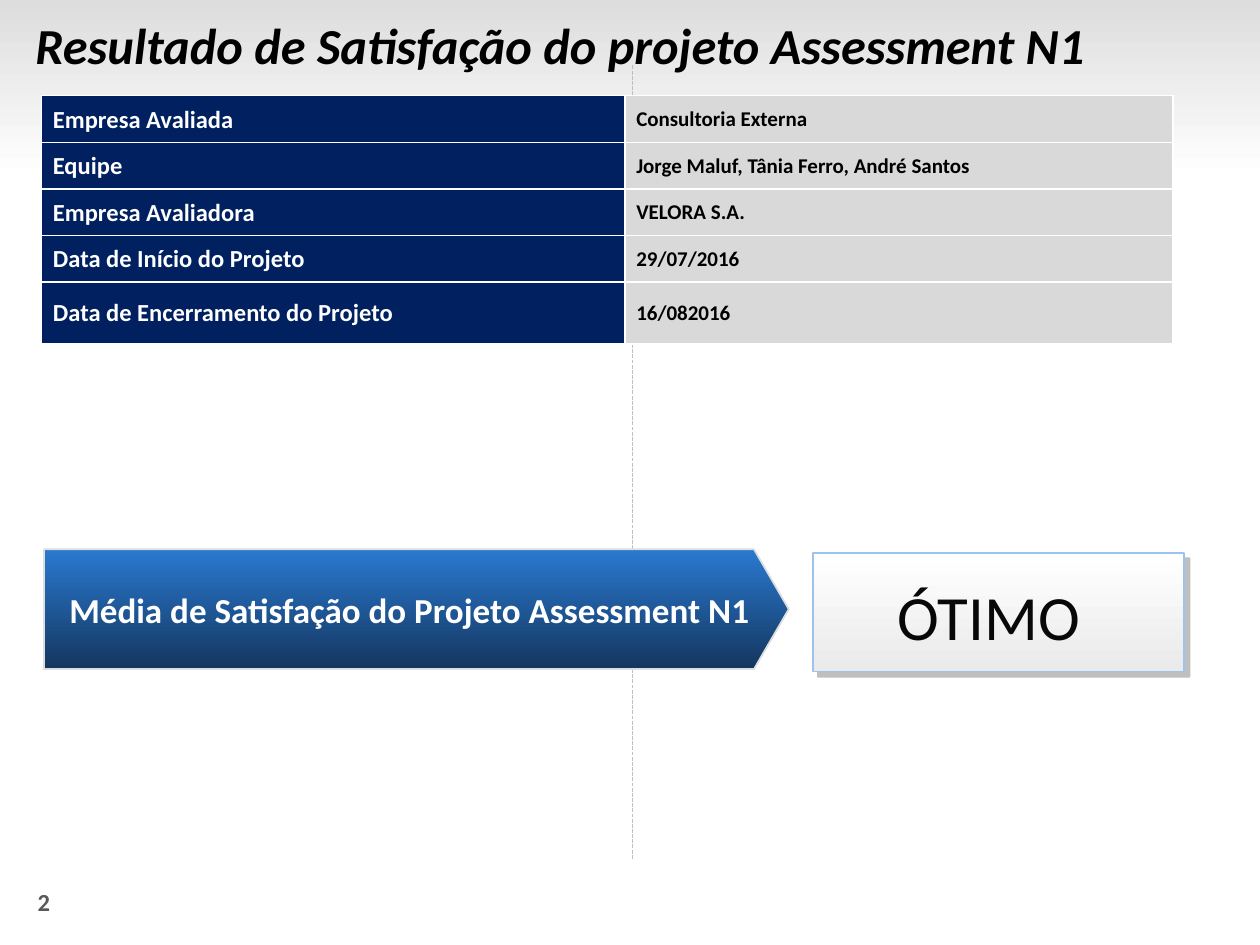
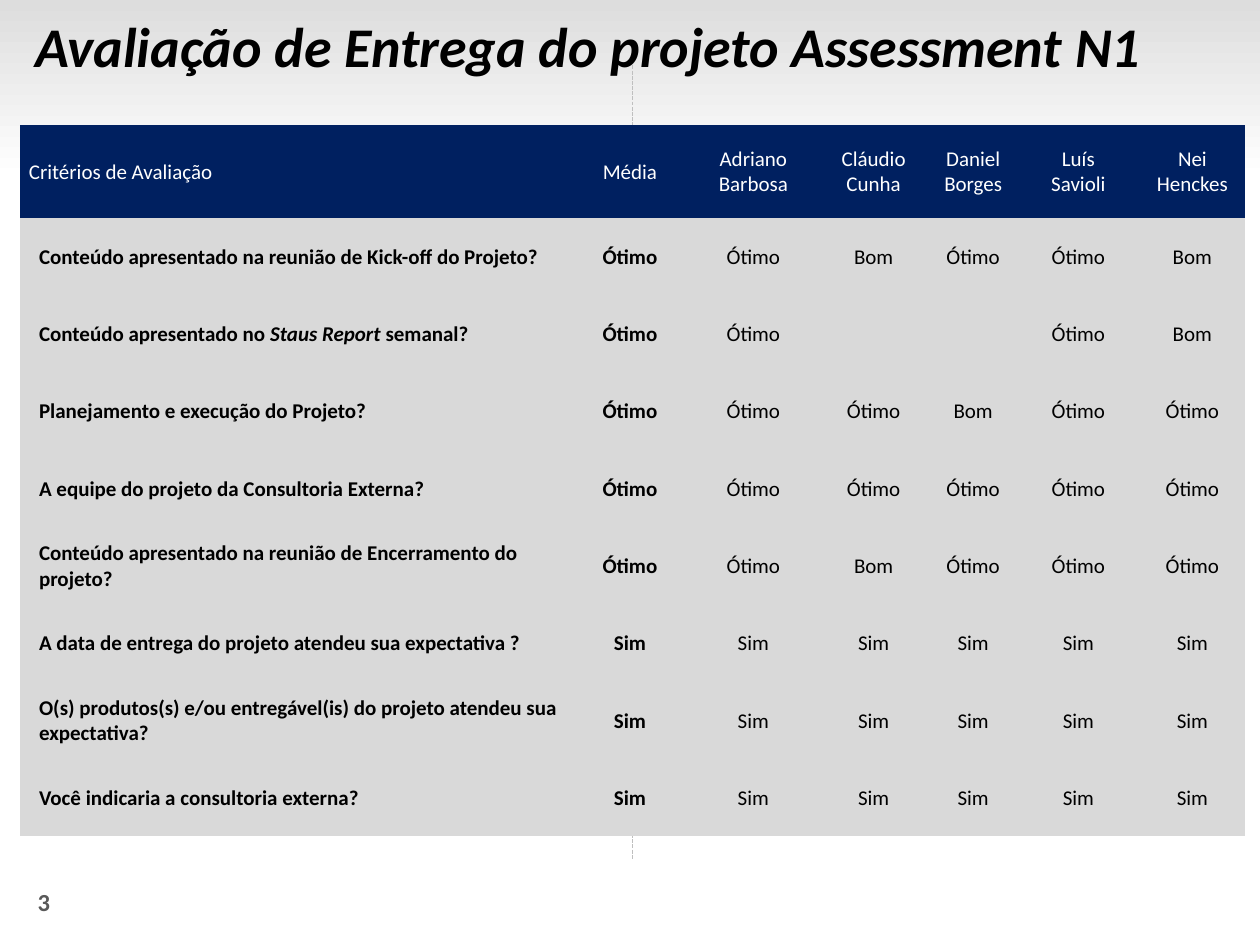
from dataclasses import dataclass

from lxml import etree
from pptx import Presentation
from pptx.dml.color import RGBColor
from pptx.enum.dml import MSO_LINE
from pptx.enum.shapes import MSO_CONNECTOR, MSO_SHAPE
from pptx.enum.text import MSO_ANCHOR, MSO_AUTO_SIZE, PP_ALIGN
from pptx.oxml import parse_xml
from pptx.oxml.ns import nsdecls, qn
from pptx.util import Inches, Pt

LEFT, CENTER = PP_ALIGN.LEFT, PP_ALIGN.CENTER
MIDDLE = MSO_ANCHOR.MIDDLE
RECTANGLE, PENTAGON = MSO_SHAPE.RECTANGLE, MSO_SHAPE.PENTAGON
STRAIGHT, DASHED = MSO_CONNECTOR.STRAIGHT, MSO_LINE.SQUARE_DOT
TITLE_ONLY = 5
NO_TABLE_STYLE = "{2D5ABB26-0587-4C30-8999-92F81FD0307C}"

RESULT_TITLE = "Resultado de Satisfação do projeto Assessment N1"
PROJECT_FACTS = [
    ("Empresa Avaliada", "Consultoria Externa"),
    ("Equipe", "Jorge Maluf, Tânia Ferro, André Santos"),
    ("Empresa Avaliadora", "VELORA S.A."),
    ("Data de Início do Projeto", "29/07/2016"),
    ("Data de Encerramento do Projeto", "16/082016"),
]
AVERAGE_LABEL = "Média de Satisfação do Projeto Assessment N1"
AVERAGE_GRADE = "ÓTIMO "

DELIVERY_TITLE = "Avaliação de Entrega do projeto Assessment N1"
CRITERIA_HEADER = [
    "Critérios de Avaliação", "Média", "Adriano\nBarbosa", "Cláudio\nCunha",
    "Daniel\nBorges", "Luís\nSavioli", "Nei\nHenckes",
]
GOOD, GREAT, YES = "Bom", "Ótimo", "Sim"
# Criterion, average, then one answer per person
CRITERIA = [
    ("Conteúdo apresentado na reunião de Kick-off do Projeto?",
     GREAT, GREAT, GOOD, GREAT, GREAT, GOOD),
    (("Conteúdo apresentado no ", "Staus Report ", "semanal?"),
     GREAT, GREAT, "", "", GREAT, GOOD),
    ("Planejamento e execução do Projeto?",
     GREAT, GREAT, GREAT, GOOD, GREAT, GREAT),
    ("A equipe do projeto da Consultoria Externa?", *[GREAT] * 6),
    ("Conteúdo apresentado na reunião de Encerramento do projeto?",
     GREAT, GREAT, GOOD, GREAT, GREAT, GREAT),
    ("A data de entrega do projeto atendeu sua expectativa ?", *[YES] * 6),
    ("O(s) produtos(s) e/ou entregável(is) do projeto atendeu sua expectativa?",
     *[YES] * 6),
    ("Você indicaria a consultoria externa?", *[YES] * 6),
]


@dataclass(frozen=True)
class Theme:
    font: str = "Calibri"
    black: str = "000000"
    white: str = "FFFFFF"
    navy: str = "002060"
    cell_gray: str = "D9D9D9"
    band_gray: str = "DDDDDD"
    rule_gray: str = "BFBFBF"
    number_gray: str = "595959"
    blue: str = "2A79D0"
    deep_blue: str = "14365F"
    grade_gray: str = "EAEAEA"
    grade_edge: str = "9DC2EB"
    grade_ink: str = "080808"
    shadow: str = "808080"
    title_size: float = 32
    long_title_size: float = 28.8
    grade_size: float = 36
    label_size: float = 20
    fact_size: float = 14
    body_size: float = 12


THEME = Theme()


def rgb(color):
    return RGBColor.from_string(color)


def write(frame, text, size=THEME.body_size, color=THEME.black, bold=False,
          italic=False, align=LEFT, indent=0):
    """Fill a frame: a newline starts a paragraph; in a tuple, every second span is italic."""
    spans_by_line = [text] if isinstance(text, tuple) else [(line,) for line in text.split("\n")]
    for number, spans in enumerate(spans_by_line):
        para = frame.add_paragraph() if number else frame.paragraphs[0]
        para.alignment = align
        if indent:
            properties = para._p.get_or_add_pPr()
            properties.set("marL", str(Inches(indent)))
            properties.set("indent", "0")
        for index, words in enumerate(spans):
            span = para.add_run()
            span.text = words
            span.font.name = THEME.font
            span.font.size = Pt(size)
            span.font.bold = bold
            span.font.italic = italic or index % 2 == 1
            span.font.color.rgb = rgb(color)


def set_insets(target, left, top, right, bottom):
    """Set margins and middle anchor on a cell or a text frame."""
    target.margin_left, target.margin_top = Inches(left), Inches(top)
    target.margin_right, target.margin_bottom = Inches(right), Inches(bottom)
    target.vertical_anchor = MIDDLE


def add_gradient_shape(page, preset, area, top_color, bottom_color, edge=None):
    shape = page.shapes.add_shape(preset, *map(Inches, area))
    shape.shadow.inherit = False
    shape.fill.gradient()
    shape.fill.gradient_angle = 270
    for stop, color in zip(shape.fill.gradient_stops, (top_color, bottom_color)):
        stop.color.rgb = rgb(color)
    if edge:
        shape.line.color.rgb = rgb(edge)
        shape.line.width = Pt(1)
    else:
        shape.line.fill.background()
    return shape


def add_layout_band(page):
    """Draw the top band, then hand it to the layout so every page shows it."""
    band = add_gradient_shape(page, RECTANGLE, (0, 0, 10, 1.42), THEME.band_gray, THEME.white)
    page.slide_layout.shapes._spTree.insert(2, band._element)


def add_page(deck, title, size, number):
    page = deck.slides.add_slide(deck.slide_layouts[TITLE_ONLY])
    heading = page.shapes.title
    heading.left, heading.top = Inches(-0.02), Inches(0)
    heading.width, heading.height = Inches(9.66), Inches(0.71)
    frame = heading.text_frame
    frame.word_wrap = True
    frame.auto_size = MSO_AUTO_SIZE.NONE
    frame.vertical_anchor = MIDDLE
    write(frame, title, size=size, bold=True, italic=True, indent=0.2)

    number_box = page.shapes.add_textbox(*map(Inches, (0.2, 6.99, 0.79, 0.34)))
    number_box.text_frame.word_wrap = True
    write(number_box.text_frame, str(number), size=THEME.fact_size,
          color=THEME.number_gray, bold=True)

    rule = page.shapes.add_connector(STRAIGHT, *map(Inches, (5.02, 0.52, 5.02, 6.82)))
    rule.line.color.rgb = rgb(THEME.rule_gray)
    rule.line.width = Pt(0.75)
    rule.line.dash_style = DASHED
    etree.SubElement(rule._element.spPr, qn("a:effectLst"))
    return page


def add_plain_table(page, left, top, widths, heights):
    table_frame = page.shapes.add_table(
        len(heights), len(widths), Inches(left), Inches(top),
        Inches(sum(widths)), Inches(sum(heights)))
    table = table_frame.table
    table._tbl.tblPr.find(qn("a:tableStyleId")).text = NO_TABLE_STYLE
    for column, width in zip(table.columns, widths):
        column.width = Inches(width)
    for row, height in zip(table.rows, heights):
        row.height = Inches(height)
    return table


def fill_cell(cell, text, fill, left_inset=0.01, **text_format):
    set_insets(cell, left_inset, 0.01, 0.01, 0)
    cell.fill.solid()
    cell.fill.fore_color.rgb = rgb(fill)
    if text:
        write(cell.text_frame, text, **text_format)


def add_cell_borders(cell, color):
    properties = cell._tc.get_or_add_tcPr()
    for position, side in enumerate(("lnL", "lnR", "lnT", "lnB")):
        properties.insert(position, parse_xml(
            f'<a:{side} {nsdecls("a")} w="{Pt(1)}"><a:solidFill>'
            f'<a:srgbClr val="{color}"/></a:solidFill></a:{side}>'))


def add_drop_shadow(shape):
    effects = shape._element.spPr.find(qn("a:effectLst"))
    effects.append(parse_xml(
        f'<a:outerShdw {nsdecls("a")} dist="{Pt(4.2)}" dir="2700000" algn="ctr" '
        f'rotWithShape="0"><a:srgbClr val="{THEME.shadow}">'
        '<a:alpha val="50000"/></a:srgbClr></a:outerShdw>'))


def add_average(page):
    grade = add_gradient_shape(page, RECTANGLE, (6.45, 4.39, 2.95, 0.94),
                               THEME.white, THEME.grade_gray, THEME.grade_edge)
    add_drop_shadow(grade)
    set_insets(grade.text_frame, 0.12, 0.12, 0.16, 0.08)
    write(grade.text_frame, AVERAGE_GRADE, size=THEME.grade_size,
          color=THEME.grade_ink, align=CENTER)

    label = add_gradient_shape(page, PENTAGON, (0.35, 4.36, 5.91, 0.95),
                               THEME.blue, THEME.deep_blue, THEME.band_gray)
    label.adjustments[0] = 0.29
    set_insets(label.text_frame, 0, 0, 0, 0)
    write(label.text_frame, AVERAGE_LABEL, size=THEME.label_size,
          color=THEME.white, bold=True, indent=0.2)


def add_facts_table(page):
    heights = [0.37] * (len(PROJECT_FACTS) - 1) + [0.49]
    table = add_plain_table(page, 0.33, 0.76, [4.63, 4.35], heights)
    for row, (name, value) in enumerate(PROJECT_FACTS):
        fill_cell(table.cell(row, 0), name, THEME.navy, 0.09,
                  size=THEME.fact_size, color=THEME.white, bold=True)
        fill_cell(table.cell(row, 1), value, THEME.cell_gray, 0.09, bold=True)
    for cell in table.iter_cells():
        add_cell_borders(cell, THEME.white)


def add_criteria_table(page):
    header_height, table_height = 0.74, 5.65
    row_height = (table_height - header_height) / len(CRITERIA)
    table = add_plain_table(page, 0.16, 0.99, [4.37, 0.94, 1.02, 0.89, 0.69, 0.98, 0.83],
                            [header_height] + [row_height] * len(CRITERIA))
    for column, text in enumerate(CRITERIA_HEADER):
        fill_cell(table.cell(0, column), text, THEME.navy, 0.01 if column else 0.07,
                  color=THEME.white, align=CENTER if column else LEFT)
    for row, answers in enumerate(CRITERIA, start=1):
        for column, text in enumerate(answers):
            fill_cell(table.cell(row, column), text, THEME.cell_gray,
                      0.01 if column else 0.15, bold=column < 2,
                      align=CENTER if column else LEFT)


def main():
    deck = Presentation()
    deck.slide_width, deck.slide_height = Inches(10), Inches(7.5)

    result = add_page(deck, RESULT_TITLE, THEME.long_title_size, 2)
    add_layout_band(result)
    add_average(result)
    add_facts_table(result)

    delivery = add_page(deck, DELIVERY_TITLE, THEME.title_size, 3)
    add_criteria_table(delivery)

    deck.save("out.pptx")


if __name__ == "__main__":
    main()
